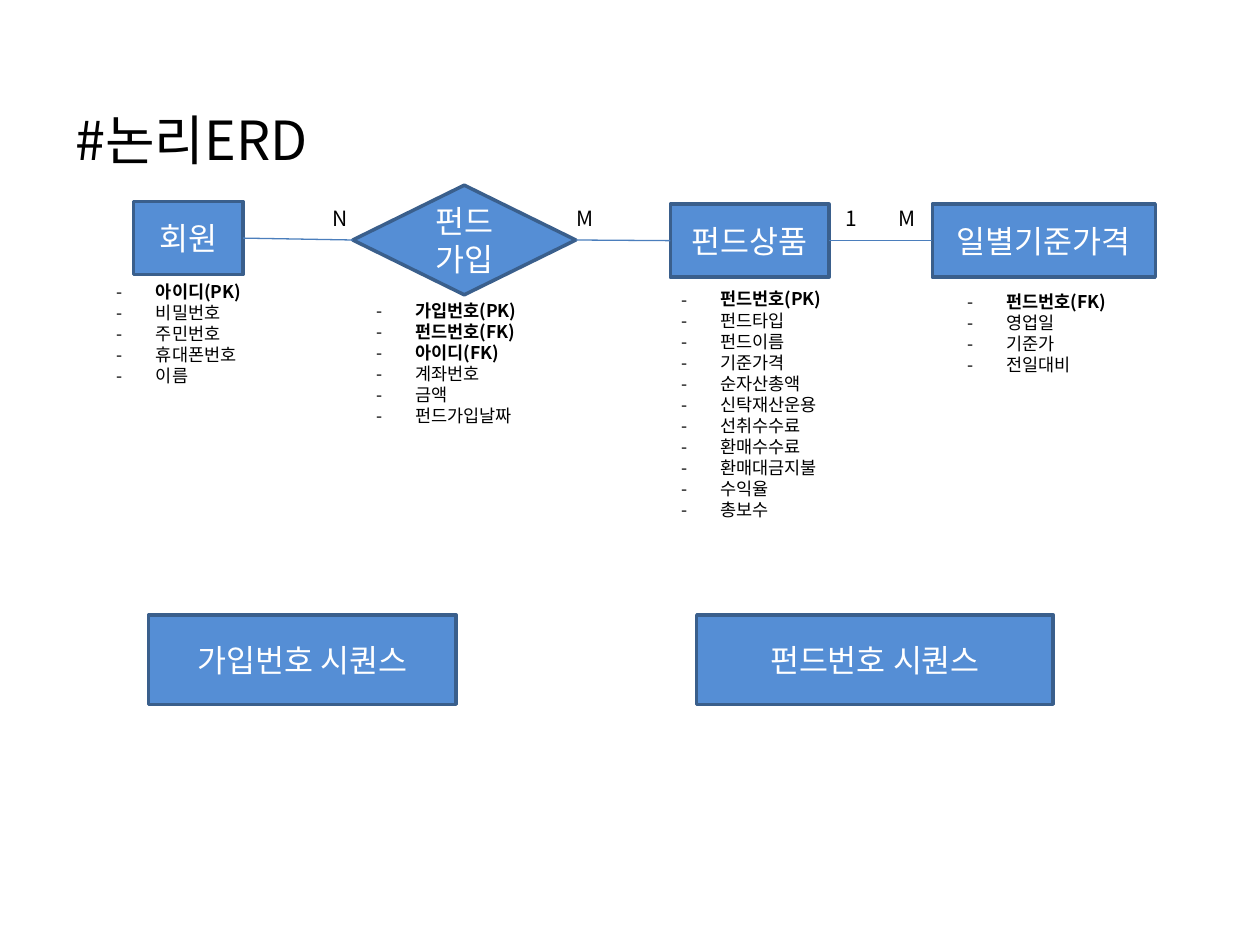
from dataclasses import dataclass

from lxml import etree
from pptx import Presentation
from pptx.dml.color import RGBColor
from pptx.enum.shapes import MSO_CONNECTOR, MSO_SHAPE
from pptx.enum.text import MSO_ANCHOR, MSO_AUTO_SIZE, PP_ALIGN
from pptx.oxml.ns import qn
from pptx.util import Inches, Pt

RECT, DIAMOND = MSO_SHAPE.RECTANGLE, MSO_SHAPE.DIAMOND
STRAIGHT = MSO_CONNECTOR.STRAIGHT
MIDDLE, BOTTOM = MSO_ANCHOR.MIDDLE, MSO_ANCHOR.BOTTOM
CENTER = PP_ALIGN.CENTER
GROW = MSO_AUTO_SIZE.SHAPE_TO_FIT_TEXT
LEFT_SITE, RIGHT_SITE = 1, 3

FONT = "Noto Sans CJK KR"
COLORS = {"fill": "558ED5", "edge": "3A5F8C", "link": "4B7EBC",
          "light": "FFFFFF", "dark": "000000"}


@dataclass
class Box:
    name: str
    place: tuple[float, float, float, float]
    kind: int = RECT


@dataclass
class Fields:
    place: tuple[float, float, float, float]
    keys: list[str]
    rest: list[str]


@dataclass
class Mark:
    text: str
    left: float


ENTITIES = [
    Box("회원", (1.06, 1.6, 0.87, 0.58)),
    Box("펀드가입", (2.8, 1.47, 1.77, 0.87), DIAMOND),
    Box("펀드상품", (5.32, 1.62, 1.26, 0.58)),
    Box("일별기준가격", (7.4, 1.62, 1.77, 0.58)),
]
SEQUENCES = [
    Box("가입번호 시퀀스", (1.18, 4.88, 2.44, 0.71)),
    Box("펀드번호 시퀀스", (5.53, 4.88, 2.83, 0.71)),
]
LISTS = [
    Fields((0.83, 2.18, 1.57, 0.94), ["아이디(PK)"],
           ["비밀번호", "주민번호", "휴대폰번호", "이름"]),
    Fields((2.89, 2.33, 1.57, 1.11),
           ["가입번호(PK)", "펀드번호(FK)", "아이디(FK)"],
           ["계좌번호", "금액", "펀드가입날짜"]),
    Fields((5.31, 2.24, 1.42, 1.95), ["펀드번호(PK)"],
           ["펀드타입", "펀드이름", "기준가격", "순자산총액", "신탁재산운용",
            "선취수수료", "환매수수료", "환매대금지불", "수익율", "총보수"]),
    Fields((7.58, 2.26, 1.42, 0.77), ["펀드번호(FK)"],
           ["영업일", "기준가", "전일대비"]),
]
MARKS = [Mark("N", 2.54), Mark("M", 4.48), Mark("1", 6.61), Mark("M", 7.03)]

deck = Presentation()
deck.slide_width, deck.slide_height = Inches(10), Inches(7.5)
slide = deck.slides.add_slide(deck.slide_layouts[6])
shapes = slide.shapes


def color(key: str) -> RGBColor:
    return RGBColor.from_string(COLORS[key])


def add_run(para, text: str, size: float, ink: str = "dark",
            bold: bool = False) -> None:
    run = para.add_run()
    run.text = text
    font = run.font
    font.name, font.size, font.bold = FONT, Pt(size), bold
    font.color.rgb = color(ink)
    east = etree.SubElement(run._r.get_or_add_rPr(), qn("a:ea"))
    east.set("typeface", FONT)


def add_frame(place: tuple[float, float, float, float]):
    frame = shapes.add_textbox(*map(Inches, place)).text_frame
    frame.word_wrap = True
    return frame


def draw_box(box: Box):
    shape = shapes.add_shape(box.kind, *map(Inches, box.place))
    shape.shadow.inherit = False
    shape.fill.solid()
    shape.fill.fore_color.rgb = color("fill")
    shape.line.color.rgb = color("edge")
    shape.line.width = Pt(2)
    frame = shape.text_frame
    frame.word_wrap, frame.vertical_anchor = True, MIDDLE
    para = frame.paragraphs[0]
    para.alignment = CENTER
    add_run(para, box.name, 18, "light")
    return shape


def draw_link(start, end) -> None:
    line = shapes.add_connector(STRAIGHT, 0, 0, 0, 0)
    line.begin_connect(start, RIGHT_SITE)
    line.end_connect(end, LEFT_SITE)
    line.line.color.rgb = color("link")
    line.line.width = Pt(0.75)
    etree.SubElement(line._element.spPr, qn("a:effectLst"))


def draw_fields(fields: Fields) -> None:
    frame = add_frame(fields.place)
    frame.auto_size = GROW
    for i, name in enumerate(fields.keys + fields.rest):
        para = frame.add_paragraph() if i else frame.paragraphs[0]
        props = para._p.get_or_add_pPr()
        props.set("marL", str(Inches(0.31)))
        props.set("indent", str(-Inches(0.31)))
        etree.SubElement(props, qn("a:buFont")).set("typeface", FONT)
        etree.SubElement(props, qn("a:buChar")).set("char", "-")
        add_run(para, name, 10, bold=i < len(fields.keys))


def draw_mark(mark: Mark) -> None:
    frame = add_frame((mark.left, 1.58, 0.33, 0.3))
    frame.auto_size = GROW
    add_run(frame.paragraphs[0], mark.text, 12)


# Title
title = add_frame((0.5, 0.27, 9, 1.09))
title.vertical_anchor, title.margin_bottom = BOTTOM, 0
add_run(title.paragraphs[0], "#논리ERD", 30.8)

# Entities, joined left to right
nodes = [draw_box(box) for box in ENTITIES]
for start, end in zip(nodes, nodes[1:]):
    draw_link(start, end)

# Field lists and cardinalities
for fields in LISTS:
    draw_fields(fields)
for mark in MARKS:
    draw_mark(mark)

# Sequences
for box in SEQUENCES:
    draw_box(box)

deck.save("out.pptx")
